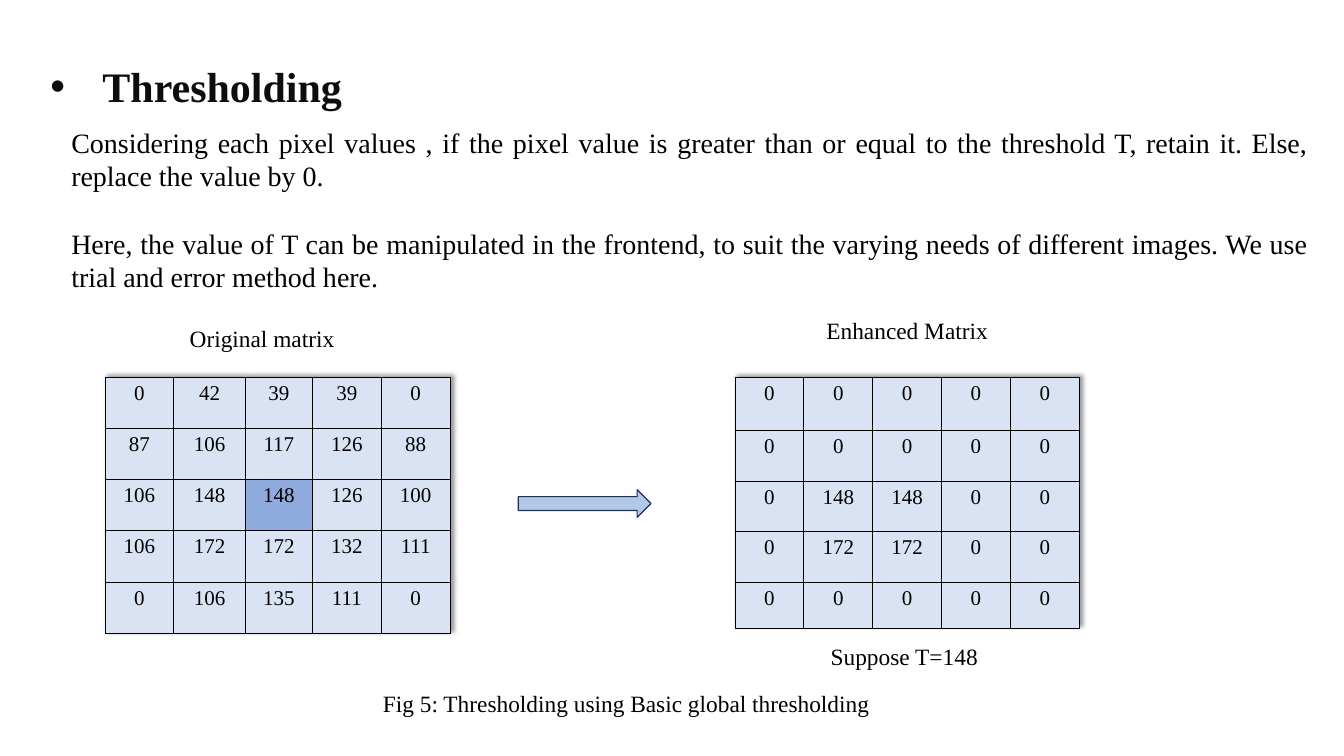
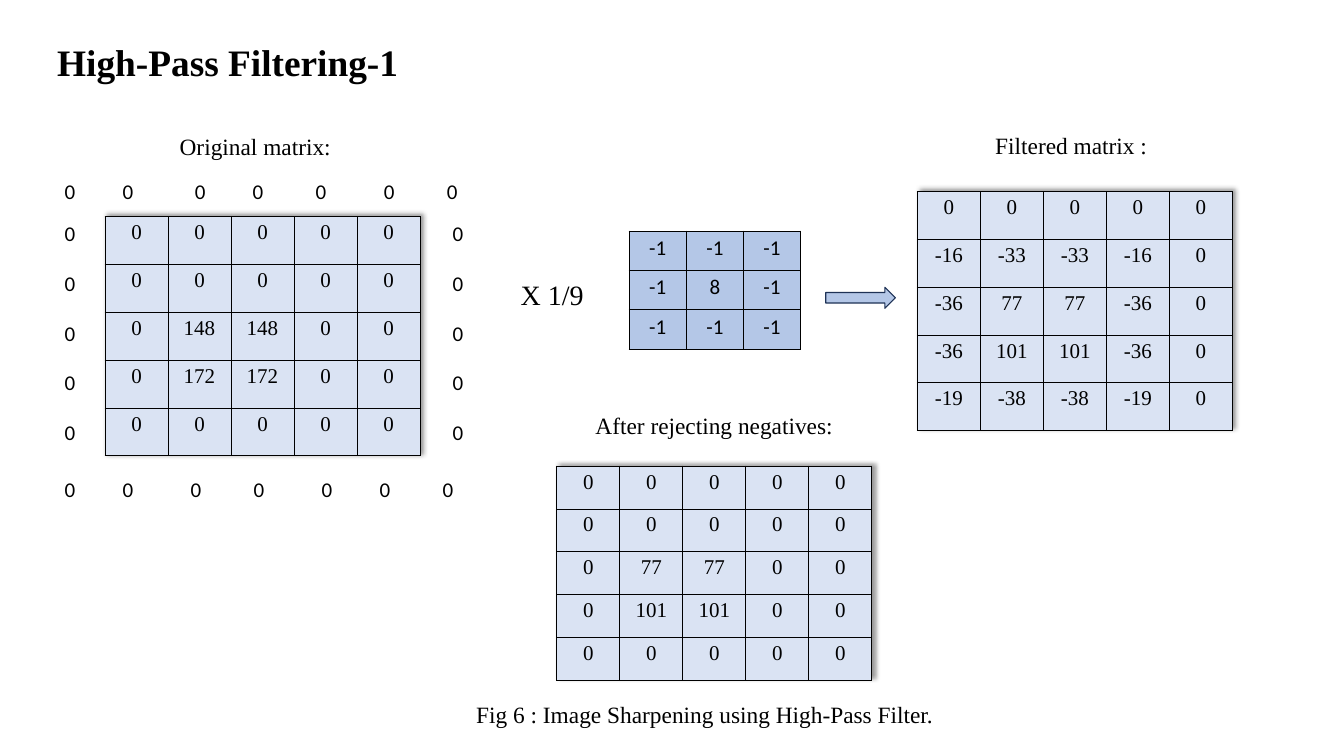
from itertools import accumulate

from lxml import etree
from pptx import Presentation
from pptx.dml.color import RGBColor
from pptx.enum.shapes import MSO_SHAPE
from pptx.enum.text import MSO_ANCHOR, MSO_AUTO_SIZE, PP_ALIGN
from pptx.oxml import parse_xml
from pptx.oxml.ns import nsdecls, qn
from pptx.util import Inches, Pt

LEFT, CENTER, JUSTIFY = PP_ALIGN.LEFT, PP_ALIGN.CENTER, PP_ALIGN.JUSTIFY
TOP = MSO_ANCHOR.TOP
NO_AUTOFIT = MSO_AUTO_SIZE.NONE
RIGHT_ARROW = MSO_SHAPE.RIGHT_ARROW
TITLE_ONLY = 5

BLACK = RGBColor(0x00, 0x00, 0x00)
INK = RGBColor(0x0D, 0x0D, 0x0D)
PALE = RGBColor(0xDA, 0xE3, 0xF3)
LIGHT = RGBColor(0xB4, 0xC7, 0xE7)
MEDIUM = RGBColor(0x8F, 0xAA, 0xDC)
NAVY = RGBColor(0x1E, 0x32, 0x56)
SERIF, SANS = "Times New Roman", "Calibri"

ZEROS = [0] * 5
THRESHOLDED = [ZEROS, ZEROS, [0, 148, 148, 0, 0], [0, 172, 172, 0, 0], ZEROS]
ORIGINAL = [
    [0, 42, 39, 39, 0],
    [87, 106, 117, 126, 88],
    [106, 148, 148, 126, 100],
    [106, 172, 172, 132, 111],
    [0, 106, 135, 111, 0],
]
FILTERED = [
    ZEROS,
    [-16, -33, -33, -16, 0],
    [-36, 77, 77, -36, 0],
    [-36, 101, 101, -36, 0],
    [-19, -38, -38, -19, 0],
]
NON_NEGATIVE = [[max(v, 0) for v in row] for row in FILTERED]
KERNEL = [[-1, -1, -1], [-1, 8, -1], [-1, -1, -1]]

PADDING_ROWS = [
    (2.08, (0.69, 0.86, 0.69, 0.75, 0.81, 0.75)),
    (5.62, (0.69, 0.81, 0.75, 0.81, 0.69, 0.75)),
]
PADDING_COLUMNS = (0.67, 5.29)

SLIDES = [
    {
        "title": ("Thresholding", (0.5, 0.67, 4.58, 0.71),
                  dict(size=36, color=INK, bullet=0.62)),
        "texts": [
            (["Considering each pixel values , if the pixel value is greater than or equal "
              "to the threshold T, retain it. Else, replace the value by 0.",
              "Here, the value of T can be manipulated in the frontend, to suit the varying "
              "needs of different images. We use trial and error method here."],
             (0.75, 1.44, 14.92, 2.12), dict(size=24, align=JUSTIFY, gap=29)),
            ("Original matrix", (2.16, 3.81, 4.17, 0.44), {}),
            ("Enhanced Matrix", (9.3, 3.71, 3, 0.44), dict(align=CENTER)),
            ("Suppose T=148", (9.79, 7.6, 2.51, 0.44), {}),
            ("Fig 5: Thresholding using Basic global thresholding",
             (4, 8.16, 6.91, 0.44), dict(align=CENTER)),
        ],
        "matrices": [
            (ORIGINAL, (1.25, 4.49), (0.82, 0.85, 0.8, 0.82, 0.82), [0.61] * 5,
             dict(marked=(2, 2))),
            (THRESHOLDED, (8.75, 4.49), [0.82] * 5, (0.64, 0.6, 0.6, 0.6, 0.55), {}),
        ],
        "arrow": (6.17, 5.83, 1.58, 0.33),
    },
    {
        "title": ("High-Pass Filtering-1", (0.58, 0.42, 5.8, 0.64), dict(size=32)),
        "texts": [
            ("X 1/9", (6.1, 3.26, 0.96, 0.5), dict(size=24)),
            ("Original matrix:", (2.04, 1.53, 4.21, 0.44), {}),
            ("Filtered matrix :", (11.75, 1.51, 2.63, 0.44), {}),
            ("After rejecting negatives:", (6.99, 4.85, 3.04, 0.44), {}),
            ("Fig 6 : Image Sharpening using High-Pass Filter.",
             (5.57, 8.29, 5.88, 0.44), {}),
        ] + [
            ("\t".join("0" * 7), (0.67, y, 5.92, 0.4),
             dict(size=18, font=SANS, tabs=list(accumulate(steps))))
            for y, steps in PADDING_ROWS
        ] + [
            (["0"] * 5, (x, 2.58, 0.29, 2.83), dict(size=18, font=SANS, gap=21))
            for x in PADDING_COLUMNS
        ],
        "matrices": [
            (THRESHOLDED, (1.25, 2.58), [0.75] * 5, [0.57] * 5, {}),
            (KERNEL, (7.49, 2.75), [0.68] * 3, [0.47] * 3,
             dict(fill=LIGHT, font=SANS, shadow=False)),
            (FILTERED, (10.92, 2.28), [0.75] * 5, [0.57] * 5, {}),
            (NON_NEGATIVE, (6.63, 5.55), [0.75] * 5, [0.51] * 5, {}),
        ],
        "arrow": (9.83, 3.42, 0.83, 0.25),
    },
]


def box(lengths):
    return [Inches(v) for v in lengths]


def write(tf, text, size=20, font=SERIF, color=BLACK, bold=False, align=LEFT,
          gap=0, bullet=None, tabs=()):
    for i, line in enumerate([text] if isinstance(text, str) else text):
        p = tf.add_paragraph() if i else tf.paragraphs[0]
        p.alignment = align
        p.space_before = Pt(gap if i else 0)
        pPr = p._p.get_or_add_pPr()
        if bullet:
            pPr.set("marL", str(Inches(bullet)))
            pPr.set("indent", str(-Inches(bullet)))
            etree.SubElement(pPr, qn("a:buFont"), typeface="Arial")
            etree.SubElement(pPr, qn("a:buChar"), char="•")
        if tabs:
            stops = etree.SubElement(pPr, qn("a:tabLst"))
            for pos in tabs:
                etree.SubElement(stops, qn("a:tab"), pos=str(Inches(pos)), algn="l")
        r = p.add_run()
        r.text = line
        r.font.size, r.font.name, r.font.bold = Pt(size), font, bold
        r.font.color.rgb = color


def add_title(s, text, at, style):
    sp = s.shapes.title
    sp.left, sp.top, sp.width, sp.height = box(at)
    tf = sp.text_frame
    tf.word_wrap, tf.auto_size, tf.vertical_anchor = True, NO_AUTOFIT, TOP
    write(tf, text, bold=True, **style)


def add_text(s, text, at, style):
    tf = s.shapes.add_textbox(*box(at)).text_frame
    tf.word_wrap = True
    write(tf, text, **style)


def add_borders(cell):
    tcPr = cell._tc.get_or_add_tcPr()
    for i, side in enumerate("LRTB"):
        tcPr.insert(i, parse_xml(
            f'<a:ln{side} {nsdecls("a")} w="12700"><a:solidFill>'
            f'<a:srgbClr val="{BLACK}"/></a:solidFill></a:ln{side}>'))


def add_matrix(s, values, at, cols, rows, fill=PALE, font=SERIF, marked=None, shadow=True):
    table = s.shapes.add_table(
        len(rows), len(cols), *box((*at, sum(cols), sum(rows)))).table
    table.first_row = table.horz_banding = False
    if shadow:
        table._tbl.tblPr.insert(0, parse_xml(
            f'<a:effectLst {nsdecls("a")}><a:outerShdw blurRad="50800" dist="38100" '
            f'dir="18900000" algn="bl" rotWithShape="0"><a:srgbClr val="{BLACK}">'
            '<a:alpha val="40000"/></a:srgbClr></a:outerShdw></a:effectLst>'))
    for col, width in zip(table.columns, cols):
        col.width = Inches(width)
    for i, height in enumerate(rows):
        table.rows[i].height = Inches(height)
        for j, value in enumerate(values[i]):
            cell = table.cell(i, j)
            cell.fill.solid()
            cell.fill.fore_color.rgb = MEDIUM if (i, j) == marked else fill
            add_borders(cell)
            write(cell.text_frame, str(value), size=18, font=font, align=CENTER)


def add_arrow(s, at):
    sp = s.shapes.add_shape(RIGHT_ARROW, *box(at))
    sp.shadow.inherit = False
    sp.fill.solid()
    sp.fill.fore_color.rgb = LIGHT
    sp.line.color.rgb = NAVY
    sp.line.width = Pt(1)


def main():
    prs = Presentation()
    prs.slide_width, prs.slide_height = box((16, 9))
    for content in SLIDES:
        s = prs.slides.add_slide(prs.slide_layouts[TITLE_ONLY])
        add_title(s, *content["title"])
        for text, at, style in content["texts"]:
            add_text(s, text, at, style)
        for values, at, cols, rows, style in content["matrices"]:
            add_matrix(s, values, at, cols, rows, **style)
        add_arrow(s, content["arrow"])
    prs.save("out.pptx")


if __name__ == "__main__":
    main()
